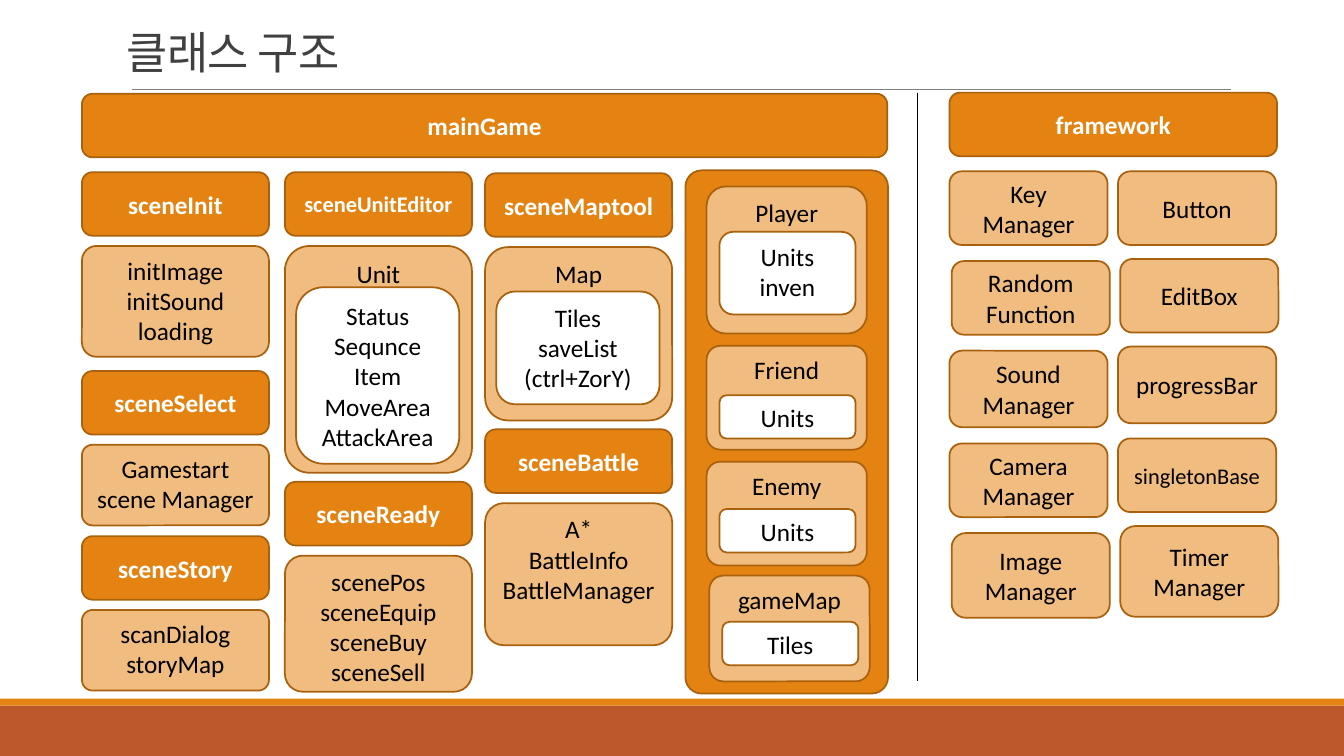
from collections import namedtuple

from lxml import etree
from pptx import Presentation
from pptx import util as u
from pptx.dml import color
from pptx.enum import shapes, text
from pptx.oxml import ns

Box = namedtuple("Box", "left top width height")
Card = namedtuple("Card", "top height label inner_top inner_height inner",
                  defaults=(0, 0, ""))


class Theme:
    font = "Calibri"
    title_size, body_size, small_size = 32, 18, 16
    accent, light, white = "E48312", "F0BC7F", "FFFFFF"
    outline, footer = "A9610D", "BD582C"
    title, rule, ink = "404040", "808080", "000000"
    border = 1.25


HEAD_HEIGHT = 45.4
HEAD_STEP = 52.7  # from the top of a scene heading to its detail card
CARD_CURVE = 0.132
SMALL_LABELS = {"sceneUnitEditor", "singletonBase"}

SCENE_COLUMNS = [
    (0, [
        ("sceneInit", Card(56, 79.2, "initImage\ninitSound\nloading")),
        ("sceneSelect", Card(198, 57.6, "Gamestart\nscene Manager")),
        ("sceneStory", Card(316, 57.6, "scanDialog\nstoryMap")),
    ]),
    (145, [
        ("sceneUnitEditor", Card(56, 162, "Unit", 29.5, 126,
                                 "Status\nSequnce\nItem\nMoveArea\nAttackArea")),
        ("sceneReady", Card(277.2, 97.2,
                            "scenePos\nsceneEquip\nsceneBuy\nsceneSell")),
    ]),
    (288, [
        ("sceneMaptool", Card(56.8, 123.8, "Map", 31.7, 80.6,
                              "Tiles\nsaveList\n(ctrl+ZorY)")),
        ("sceneBattle", Card(239.7, 101.5, "A*\nBattleInfo\nBattleManager")),
    ]),
]

BATTLE_CARDS = [
    Card(11.5, 105.1, "Player", 32.4, 59, "Units\ninven"),
    Card(125.3, 74.2, "Friend", 35.3, 31, "Units"),
    Card(208.1, 74.2, "Enemy", 33.8, 31, "Units"),
    Card(289.4, 75.6, "gameMap", 33.1, 31, "Tiles"),
]

FRAMEWORK_COLUMNS = [
    (0, [
        Card(56.2, 52.6, "Key\nManager"),
        Card(120.3, 52.6, "Random\nFunction"),
        Card(184.3, 54.7, "Sound\nManager"),
        Card(250.6, 52.6, "Camera\nManager"),
        Card(314.6, 60.5, "Image\nManager"),
    ]),
    (120.4, [
        Card(56.2, 52.6, "Button"),
        Card(118.8, 52.6, "EditBox"),
        Card(181.4, 54.7, "progressBar"),
        Card(247, 52.6, "singletonBase"),
        Card(309.6, 64.8, "Timer\nManager"),
    ]),
]


def rgb(value):
    return color.RGBColor.from_string(value)


def points(box):
    return [u.Pt(length) for length in box]


def add_bar(page, box, fill):
    bar = page.shapes.add_shape(shapes.MSO_SHAPE.RECTANGLE, *points(box))
    bar.shadow.inherit = False
    bar.fill.solid()
    bar.fill.fore_color.rgb = rgb(fill)
    bar.line.fill.background()


def add_line(page, start, end, ink, width):
    line = page.shapes.add_connector(
        shapes.MSO_CONNECTOR.STRAIGHT, *points(start + end))
    line.line.color.rgb = rgb(ink)
    line.line.width = u.Pt(width)
    etree.SubElement(line._element.spPr, ns.qn("a:effectLst"))


def add_card(page, box, label, fill, curve=None, bold=False, middle=False):
    """Rounded, outlined box with one centred paragraph per line of label."""
    card = page.shapes.add_shape(
        shapes.MSO_SHAPE.ROUNDED_RECTANGLE, *points(box))
    card.shadow.inherit = False
    if curve is not None:
        card.adjustments[0] = curve
    card.fill.solid()
    card.fill.fore_color.rgb = rgb(fill)
    card.line.color.rgb = rgb(Theme.outline)
    card.line.width = u.Pt(Theme.border)
    if not label:
        return
    frame = card.text_frame
    frame.word_wrap = True
    frame.vertical_anchor = (text.MSO_ANCHOR.MIDDLE if middle
                             else text.MSO_ANCHOR.TOP)
    frame.text = label
    size = Theme.small_size if label in SMALL_LABELS else Theme.body_size
    for para in frame.paragraphs:
        para.alignment = text.PP_ALIGN.CENTER
        para.font.name = Theme.font
        para.font.size = u.Pt(size)
        para.font.bold = bold
        para.font.color.rgb = rgb(Theme.white if bold else Theme.ink)


def add_heading(page, box, label):
    add_card(page, box, label, Theme.accent, bold=True, middle=True)


def add_nested_card(page, box, card, margin, inner_width):
    """Light card, with a white card inside it when the card has one."""
    add_card(page, box, card.label, Theme.light, CARD_CURVE)
    if card.inner:
        inner = Box(box.left + margin, box.top + card.inner_top,
                    inner_width, card.inner_height)
        add_card(page, inner, card.inner, Theme.white)


def draw_frame(page, box):
    """Footer bars, title and the rule under the title."""
    add_bar(page, Box(box.left, box.top + 504, box.width, 36), Theme.footer)
    add_bar(page, Box(box.left, box.top + 499, box.width, 5), Theme.accent)
    rule = box.top + 64.1
    add_line(page, (box.left + 94.3, rule), (box.left + 879, rule),
             Theme.rule, 0.5)
    title = page.shapes.add_textbox(
        *points(Box(box.left + 83.5, box.top + 10, 648, 49.7)))
    frame = title.text_frame
    frame.word_wrap = True
    frame.vertical_anchor = text.MSO_ANCHOR.BOTTOM
    para = frame.paragraphs[0]
    para.line_spacing = 0.85
    para.font.name = Theme.font
    para.font.size = u.Pt(Theme.title_size)
    para.font.color.rgb = rgb(Theme.title)
    span = para.add_run()
    span.text = "클래스 구조"
    span._r.get_or_add_rPr().set("spc", "-50")


def draw_scenes(page, box):
    add_heading(page, box._replace(height=HEAD_HEIGHT), "mainGame")
    for offset, scenes in SCENE_COLUMNS:
        for name, card in scenes:
            head = Box(box.left + offset, box.top + card.top,
                       133.6, HEAD_HEIGHT)
            add_heading(page, head, name)
            detail = head._replace(top=head.top + HEAD_STEP,
                                   height=card.height)
            add_nested_card(page, detail, card, 8, 116.6)


def draw_battle(page, box):
    add_card(page, box, "", Theme.accent, curve=0.08)
    for card in BATTLE_CARDS:
        shift = 2 if card.label == "gameMap" else 0
        place = Box(box.left + 15.1 + shift, box.top + card.top,
                    114.5, card.height)
        add_nested_card(page, place, card, 9.2, 97.2)


def draw_framework(page, box):
    add_heading(page, box._replace(height=HEAD_HEIGHT), "framework")
    for offset, cards in FRAMEWORK_COLUMNS:
        for row, card in enumerate(cards):
            shift = 1.6 if row in (1, 4) else 0
            place = Box(box.left + offset + shift, box.top + card.top,
                        113, card.height)
            add_card(page, place, card.label, Theme.light, middle=True)


def main():
    deck = Presentation()
    deck.slide_width, deck.slide_height = u.Pt(960), u.Pt(540)
    page = deck.slides.add_slide(deck.slide_layouts[6])
    draw_frame(page, Box(0, 0, 960, 540))
    draw_scenes(page, Box(58.5, 67, 575.3, 427))
    draw_battle(page, Box(489.6, 121.7, 144.7, 373.7))
    add_line(page, (655.2, 66.2), (655.2, 486.7), Theme.ink, 1)
    draw_framework(page, Box(678.2, 66.2, 234, 375))
    deck.save("out.pptx")


if __name__ == "__main__":
    main()
